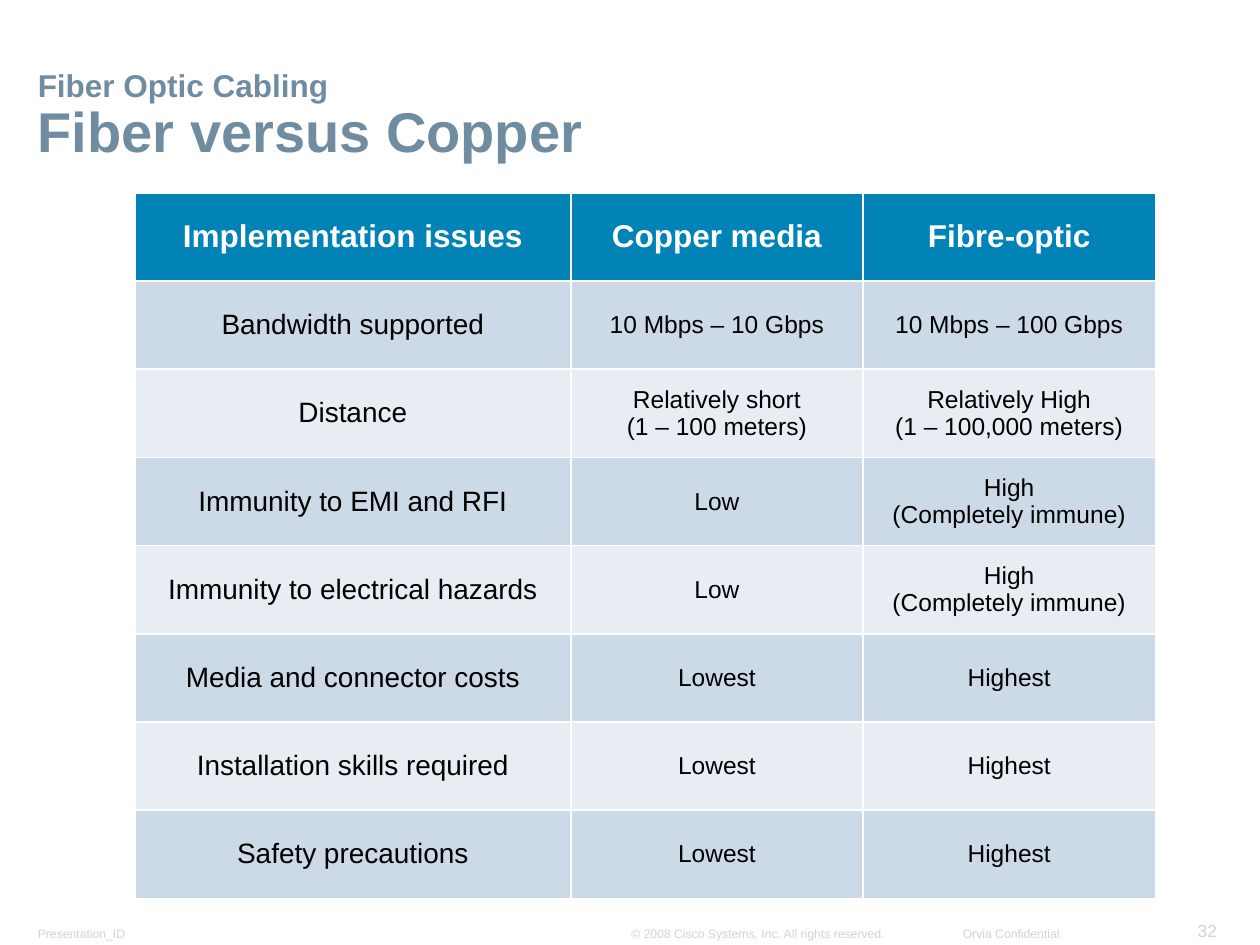
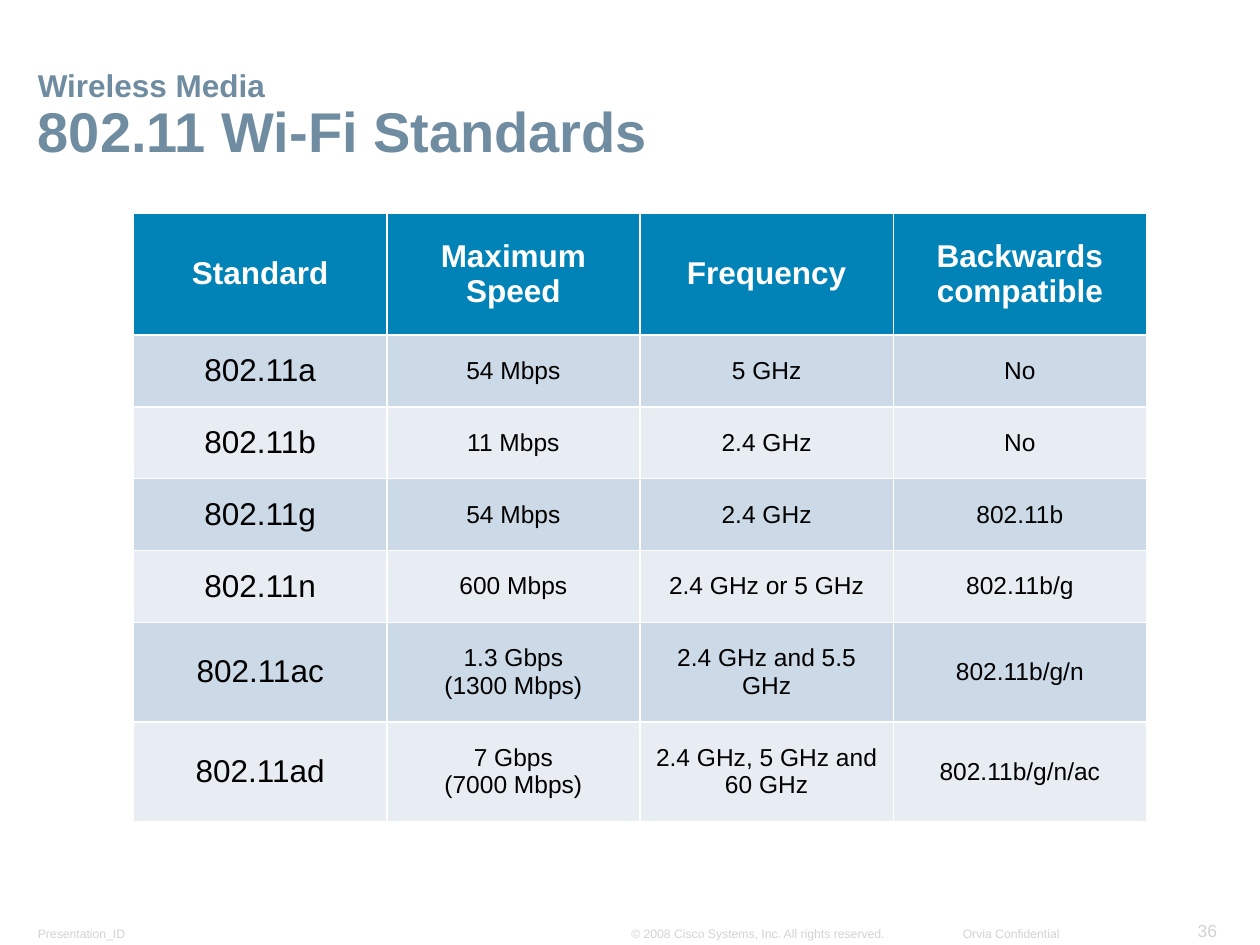
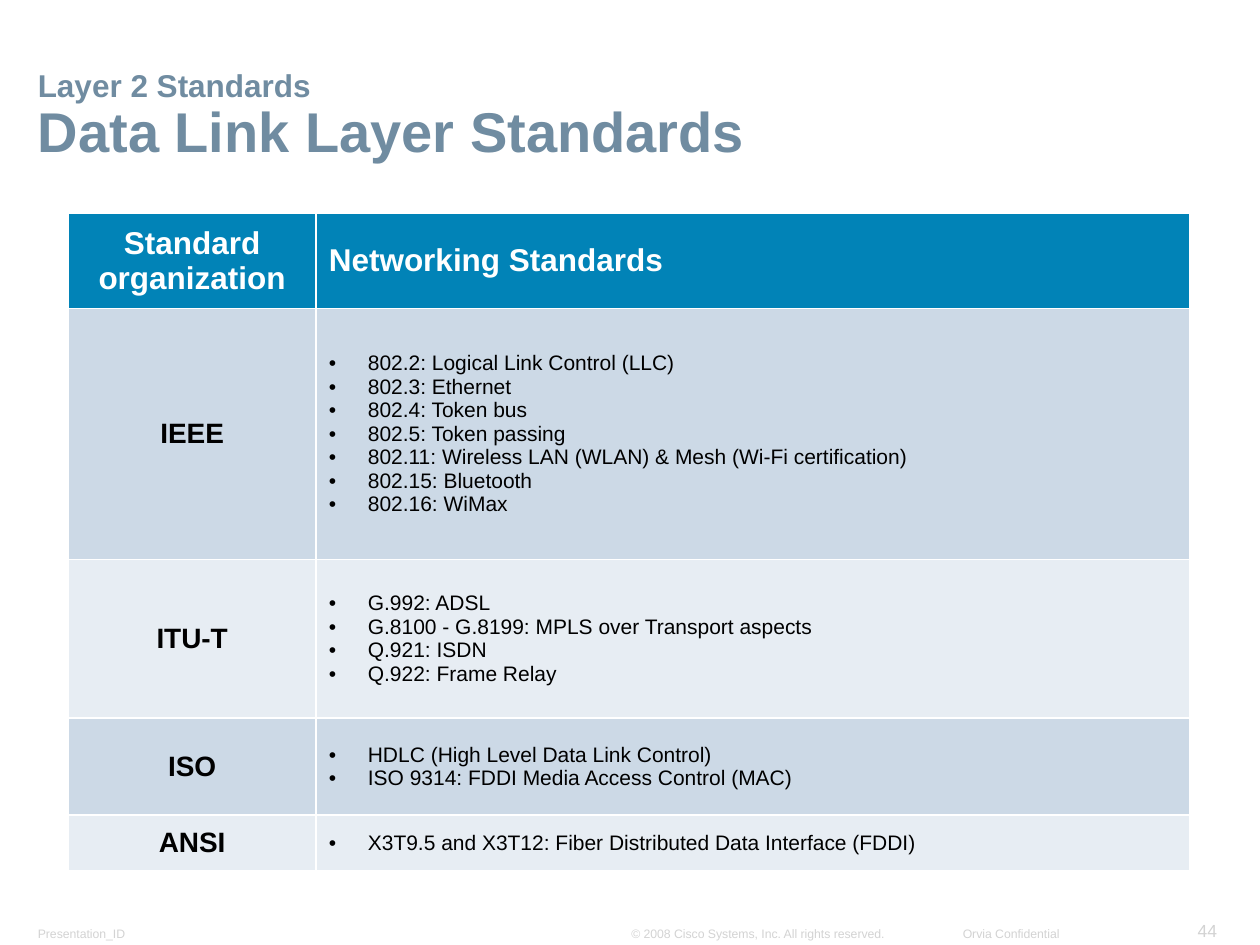
from pptx import Presentation
from pptx import util as u
from pptx.dml.color import RGBColor
from pptx.enum import text
from pptx.oxml import ns
from lxml import etree

HEADING = RGBColor(0x70, 0x8C, 0xA1)
HEADER_BLUE = RGBColor(0x01, 0x83, 0xB7)
BANDS = (RGBColor(0xCC, 0xD9, 0xE6), RGBColor(0xE7, 0xED, 0xF3))
WHITE = RGBColor(0xFF, 0xFF, 0xFF)
BLACK = RGBColor(0, 0, 0)
FOOTER_GREY = RGBColor(0xD3, 0xD3, 0xD3)
FONT = "Arial"
LEFT, CENTER, RIGHT = text.PP_ALIGN.LEFT, text.PP_ALIGN.CENTER, text.PP_ALIGN.RIGHT

FOOTERS = [
    ("Presentation_ID", (0.21, 7.3, 1.05, 0.21), LEFT, True),
    ("© 2008 Cisco Systems, Inc. All rights reserved.", (4.92, 7.3, 2.21, 0.21), LEFT, False),
    ("Orvia Confidential", (7.54, 7.3, 0.96, 0.21), RIGHT, False),
]

MEDIA_ROWS = [
    ["Implementation issues", "Copper media", "Fibre-optic"],
    ["Bandwidth supported", "10 Mbps – 10 Gbps", "10 Mbps – 100 Gbps"],
    ["Distance", "Relatively short\n(1 – 100 meters)", "Relatively High\n(1 – 100,000 meters)"],
    ["Immunity to EMI and RFI", "Low", "High\n(Completely immune)"],
    ["Immunity to electrical hazards", "Low", "High\n(Completely immune)"],
    ["Media and connector costs", "Lowest", "Highest"],
    ["Installation skills required", "Lowest", "Highest"],
    ["Safety precautions", "Lowest", "Highest"],
]

WIFI_ROWS = [
    ["Standard", "Maximum Speed", "Frequency", "Backwards compatible"],
    ["802.11a", "54 Mbps", "5 GHz", "No"],
    ["802.11b", "11 Mbps", "2.4 GHz", "No"],
    ["802.11g", "54 Mbps", "2.4 GHz", "802.11b"],
    ["802.11n", "600 Mbps", "2.4 GHz or 5 GHz", "802.11b/g"],
    ["802.11ac", "1.3 Gbps\n(1300 Mbps)", "2.4 GHz and 5.5 GHz", "802.11b/g/n"],
    ["802.11ad", "7 Gbps\n(7000 Mbps)", "2.4 GHz, 5 GHz and 60 GHz", "802.11b/g/n/ac"],
]

LAYER_ROWS = [
    ["Standard organization", "Networking Standards"],
    ["IEEE", "802.2: Logical Link Control (LLC)\n802.3: Ethernet\n802.4: Token bus\n"
             "802.5: Token passing\n802.11: Wireless LAN (WLAN) & Mesh (Wi-Fi certification)\n"
             "802.15: Bluetooth\n802.16: WiMax"],
    ["ITU-T", "G.992: ADSL\nG.8100 - G.8199: MPLS over Transport aspects\n"
              "Q.921: ISDN\nQ.922: Frame Relay"],
    ["ISO", "HDLC (High Level Data Link Control)\nISO 9314: FDDI Media Access Control (MAC)"],
    ["ANSI", "X3T9.5 and X3T12: Fiber Distributed Data Interface (FDDI)"],
]


class Deck:
    def __init__(self):
        self.presentation = Presentation()
        self.presentation.slide_width = u.Inches(10)
        self.presentation.slide_height = u.Inches(7.5)
        self.slide = None

    def new_slide(self, topic, heading, number):
        self.slide = self.presentation.slides.add_slide(self.presentation.slide_layouts[5])
        for wording, place, align, wrap in FOOTERS:
            self.footer(wording, place, align, wrap)
        self.footer(str(number), (9.4, 7.25, 0.35, 0.26), RIGHT, False, 10)
        self.title(topic, heading)

    def run(self, paragraph, wording, size, color, bold=False):
        run = paragraph.add_run()
        run.text = wording
        run.font.name = FONT
        run.font.size = u.Pt(size)
        run.font.bold = bold
        run.font.color.rgb = color

    def frame(self, shape, wrap=True):
        frame = shape.text_frame
        frame.word_wrap = wrap
        frame.vertical_anchor = text.MSO_ANCHOR.BOTTOM
        frame.margin_left = frame.margin_right = u.Inches(0.09)
        frame.margin_top = frame.margin_bottom = u.Inches(0.04)
        return frame

    def footer(self, wording, place, align, wrap, size=7):
        frame = self.frame(self.slide.shapes.add_textbox(*map(u.Inches, place)), wrap)
        frame.auto_size = text.MSO_AUTO_SIZE.SHAPE_TO_FIT_TEXT
        frame.paragraphs[0].alignment = align
        self.run(frame.paragraphs[0], wording, size, FOOTER_GREY)

    def title(self, topic, heading):
        title = self.slide.shapes.title
        title.left, title.top = u.Inches(0.21), u.Inches(0.43)
        title.width, title.height = u.Inches(9.59), u.Inches(0.92)
        frame = self.frame(title)
        frame.auto_size = text.MSO_AUTO_SIZE.NONE
        lines = frame.paragraphs[0], frame.add_paragraph()
        for line, wording, size in zip(lines, (topic, heading), (18, 32)):
            line.alignment = LEFT
            line.line_spacing = 0.9
            line.space_before = u.Pt(0)
            self.run(line, wording, size, HEADING, True)

    def bullet(self, paragraph):
        properties = paragraph._p.get_or_add_pPr()
        properties.set("marL", str(u.Inches(0.31)))
        properties.set("indent", str(u.Inches(-0.31)))
        etree.SubElement(properties, ns.qn("a:buFont"), typeface=FONT)
        etree.SubElement(properties, ns.qn("a:buChar"), char="•")

    def cell(self, cell, wording, fill, size, color, bold, align, bulleted):
        cell.fill.solid()
        cell.fill.fore_color.rgb = fill
        cell.vertical_anchor = text.MSO_ANCHOR.MIDDLE
        for index, line in enumerate(wording.split("\n")):
            frame = cell.text_frame
            paragraph = frame.add_paragraph() if index else frame.paragraphs[0]
            paragraph.alignment = align
            if bulleted:
                self.bullet(paragraph)
            self.run(paragraph, line, size, color, bold)

    def table(self, rows, corner, widths, heights, label_size, value_size, listed=False):
        left, top = map(u.Inches, corner)
        table = self.slide.shapes.add_table(
            len(rows), len(widths), left, top,
            u.Inches(sum(widths)), u.Inches(sum(heights))).table
        for column, width in zip(table.columns, widths):
            column.width = u.Inches(width)
        for r, (row, height) in enumerate(zip(rows, heights)):
            table.rows[r].height = u.Inches(height)
            for c, wording in enumerate(row):
                align = LEFT if listed and c else CENTER
                if r == 0:
                    style = HEADER_BLUE, 18, WHITE, True, align, False
                else:
                    size = value_size if c else label_size
                    style = (BANDS[(r - 1) % 2], size, BLACK, listed and c == 0,
                             align, listed and c > 0)
                self.cell(table.cell(r, c), wording, *style)


def main():
    deck = Deck()
    deck.new_slide("Fiber Optic Cabling", "Fiber versus Copper", 32)
    deck.table(MEDIA_ROWS, (1.07, 1.53), [3.46, 2.32, 2.32], [0.7] * 8, 16, 14)

    deck.new_slide("Wireless Media", "802.11 Wi-Fi Standards", 36)
    deck.table(WIFI_ROWS, (1.06, 1.69), [2.01] * 4, [0.97] + [0.57] * 4 + [0.79] * 2, 18, 14)

    deck.new_slide("Layer 2 Standards", "Data Link Layer Standards", 44)
    deck.table(LAYER_ROWS, (0.54, 1.69), [1.97, 6.93], [0.76, 1.99, 1.26, 0.77, 0.44],
               16, 12, listed=True)
    deck.presentation.save("out.pptx")


if __name__ == "__main__":
    main()
